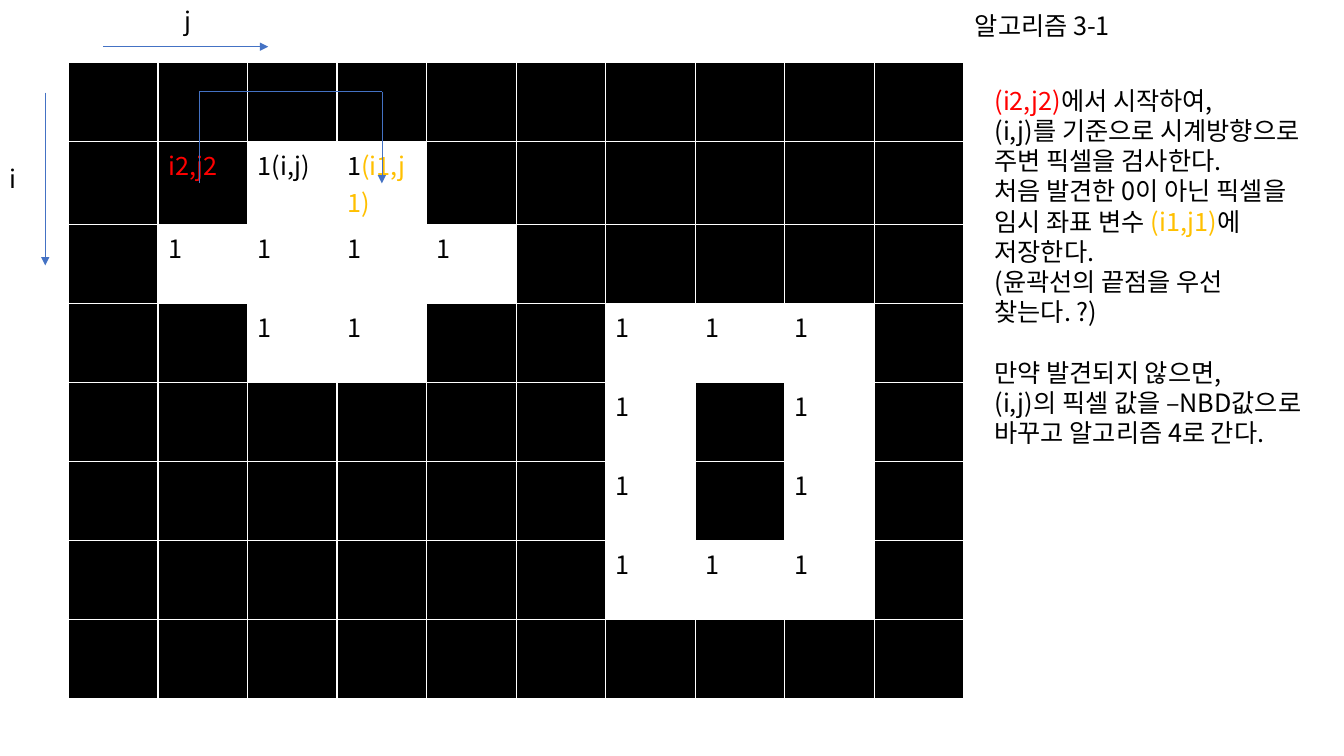
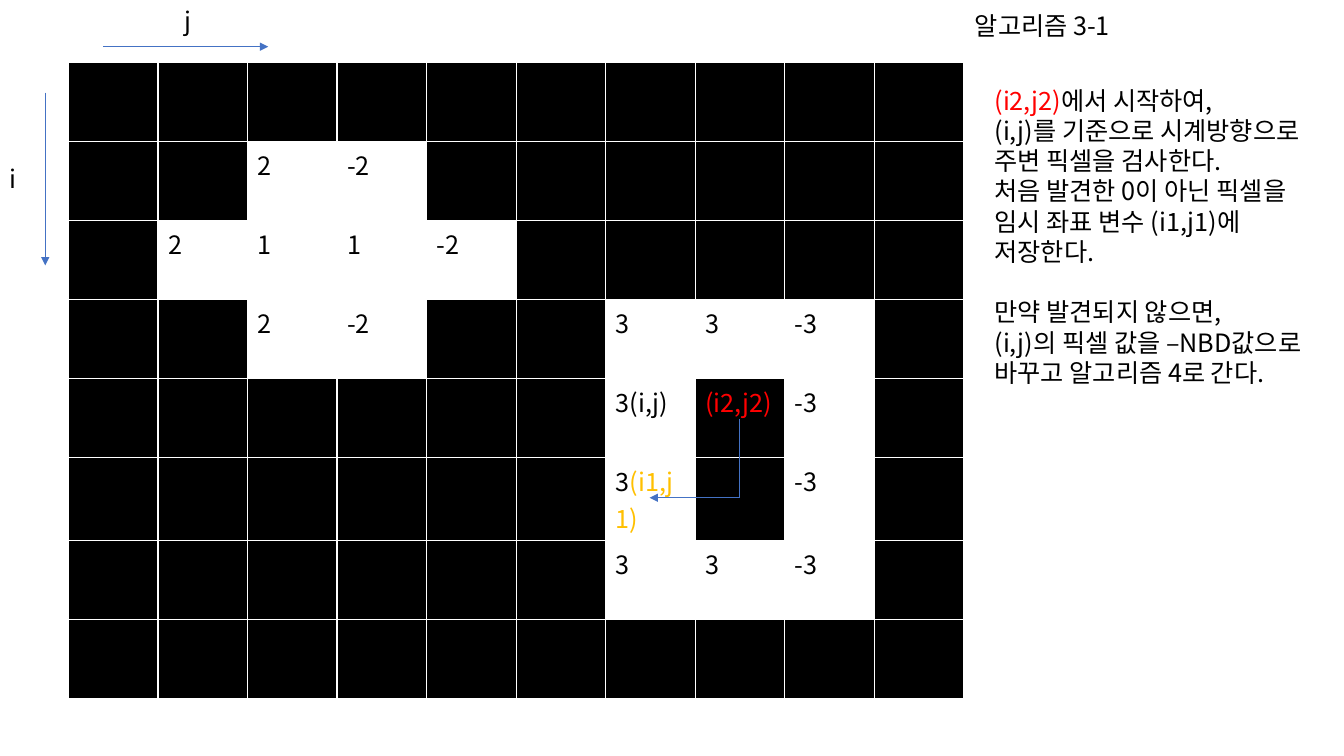
from lxml import etree
from pptx import Presentation
from pptx.dml.color import RGBColor
from pptx.enum.shapes import MSO_CONNECTOR
from pptx.enum.text import MSO_ANCHOR, MSO_AUTO_SIZE, PP_ALIGN
from pptx.oxml.ns import qn
from pptx.util import Inches, Pt

STRAIGHT = MSO_CONNECTOR.STRAIGHT
TOP, LEFT = MSO_ANCHOR.TOP, PP_ALIGN.LEFT
FIXED = MSO_AUTO_SIZE.NONE

FONT = "Noto Sans CJK KR"
BLACK, WHITE, RED, GOLD, BLUE = "000000", "FFFFFF", "FF0000", "FFC000", "4472C4"
SLIDE_WIDTH, SLIDE_HEIGHT = 13.33, 7.5
COLUMNS, ROWS = 10, 8
GRID_LEFT, GRID_TOP = 0.68, 0.62
COLUMN, ROW = 8.88 / COLUMNS, 6.27 / ROWS

FRAME_FORMAT = {"word_wrap": True, "auto_size": FIXED, "vertical_anchor": TOP,
                "margin_left": Inches(0.1), "margin_right": Inches(0.1),
                "margin_top": Inches(0.05), "margin_bottom": Inches(0.05)}
LINE_FORMAT = {"alignment": LEFT, "line_spacing": 1.0,
               "space_before": Pt(0), "space_after": Pt(0)}
FONT_FORMAT = {"name": FONT, "size": Pt(18), "bold": False}
TABLE_FORMAT = {"first_row": False, "horz_banding": False}
GROUP_GAP = Pt(21.6)

TITLE = "알고리즘 3-1"
AXIS_ARROWS = [[(0.39, -0.2), (2.23, -0.2)], [(-0.26, 0.38), (-0.26, 2.57)]]
AXIS_LABELS = [("i", (-0.77, 1.21, 0.36, 0.51)), ("j", (1.19, -0.79, 0.43, 0.51))]
TITLE_AREA = (10.01, -0.72, 1.9, 0.51)
BODY_AREA = (10.23, 0.22, 3.95, 4.77)

SEARCH_LINES = [
    [("(i2,j2)", RED), ("에서 시작하여,", BLACK)],
    [("(i,j)를 기준으로 시계방향으로", BLACK)],
    [("주변 픽셀을 검사한다.", BLACK)],
    [("처음 발견한 0이 아닌 픽셀을", BLACK)],
]
STORE_LINE = [("저장한다.", BLACK)]
FALLBACK_LINES = [
    [("만약 발견되지 않으면,", BLACK)],
    [("(i,j)의 픽셀 값을 –NBD값으로", BLACK)],
    [("바꾸고 알고리즘 4로 간다.", BLACK)],
]

OUTER_STEP = {
    "pixels": ["0 0 0 0 0 0 0 0 0 0",
               "0 0 1 1 0 0 0 0 0 0",
               "0 1 1 1 1 0 0 0 0 0",
               "0 0 1 1 0 0 1 1 1 0",
               "0 0 0 0 0 0 1 0 1 0",
               "0 0 0 0 0 0 1 0 1 0",
               "0 0 0 0 0 0 1 1 1 0",
               "0 0 0 0 0 0 0 0 0 0"],
    "marks": {(1, 1): ("i2,j2", RED), (1, 2): ("(i,j)", BLACK), (1, 3): ("(i1,j1)", GOLD)},
    "route": [(1.46, 1.53), (1.46, 0.37), (3.5, 0.37), (3.5, 1.53)],
    "groups": [
        SEARCH_LINES + [
            [("임시 좌표 변수 ", BLACK), ("(i1,j1)", GOLD), ("에", BLACK)],
            STORE_LINE,
            [("(윤곽선의 끝점을 우선", BLACK)],
            [("찾는다. ?)", BLACK)]],
        FALLBACK_LINES],
}
HOLE_STEP = {
    "pixels": ["0 0 0 0 0 0 0 0 0 0",
               "0 0 2 -2 0 0 0 0 0 0",
               "0 2 1 1 -2 0 0 0 0 0",
               "0 0 2 -2 0 0 3 3 -3 0",
               "0 0 0 0 0 0 3 0 -3 0",
               "0 0 0 0 0 0 3 0 -3 0",
               "0 0 0 0 0 0 3 3 -3 0",
               "0 0 0 0 0 0 0 0 0 0"],
    "marks": {(4, 6): ("(i,j)", BLACK), (4, 7): ("(i2,j2)", RED), (5, 6): ("(i1,j1)", GOLD)},
    "route": [(7.49, 4.51), (7.49, 5.51), (6.49, 5.51)],
    "groups": [
        SEARCH_LINES + [[("임시 좌표 변수 (i1,j1)에", BLACK)], STORE_LINE],
        FALLBACK_LINES],
}


def color(value):
    """Turn a hex string into a colour."""
    return RGBColor.from_string(value)


def set_format(target, values):
    """Set each named attribute of the target."""
    for name, value in values.items():
        setattr(target, name, value)


def add_element(parent, tag, **attributes):
    """Append a drawing element and return it."""
    return etree.SubElement(parent, qn(tag), attributes)


def grid_point(column, row):
    """Convert a grid position into slide lengths."""
    return Inches(GRID_LEFT + column * COLUMN), Inches(GRID_TOP + row * ROW)


def grid_area(column, row, width, height):
    """Convert a grid area into left, top, width and height."""
    return (*grid_point(column, row), Inches(width * COLUMN), Inches(height * ROW))


def write_spans(para, spans):
    """Write coloured text spans without kerning into a paragraph."""
    for text, hue in spans:
        span = para.add_run()
        span.text = text
        set_format(span.font, FONT_FORMAT)
        span.font.color.rgb = color(hue)
        properties = span._r.get_or_add_rPr()
        properties.set("kern", "0")
        add_element(properties, "a:ea", typeface=FONT)


def fill_box(box, area, groups):
    """Place a text shape and write its groups of lines."""
    set_format(box, dict(zip(("left", "top", "width", "height"), grid_area(*area))))
    frame = box.text_frame
    set_format(frame, FRAME_FORMAT)
    para = frame.paragraphs[0]
    for group_index, lines in enumerate(groups):
        for line_index, spans in enumerate(lines):
            if group_index or line_index:
                para = frame.add_paragraph()
            properties = para._p.get_or_add_pPr()
            properties.set("marL", "0")
            properties.set("indent", "0")
            add_element(properties, "a:buNone")
            set_format(para, LINE_FORMAT)
            if group_index and not line_index:
                para.space_before = GROUP_GAP
            write_spans(para, spans)


def style_cell(cell, fill):
    """Give a cell white borders and a solid fill."""
    properties = cell._tc.get_or_add_tcPr()
    for side in ("a:lnL", "a:lnR", "a:lnT", "a:lnB"):
        border = add_element(properties, side, w=str(Pt(1)))
        add_element(add_element(border, "a:solidFill"), "a:srgbClr", val=WHITE)
    cell.fill.solid()
    cell.fill.fore_color.rgb = color(fill)


def add_pixel_table(page, pixels, marks):
    """Draw the image as a table, black where the pixel is zero."""
    table = page.shapes.add_table(ROWS, COLUMNS, *grid_area(0, 0, COLUMNS, ROWS)).table
    set_format(table, TABLE_FORMAT)
    for row_index, line in enumerate(pixels):
        for column_index, value in enumerate(line.split()):
            cell = table.cell(row_index, column_index)
            empty = value == "0"
            style_cell(cell, BLACK if empty else WHITE)
            spans = [] if empty else [(value, BLACK)]
            mark = marks.get((row_index, column_index))
            write_spans(cell.text_frame.paragraphs[0], spans + ([mark] if mark else []))


def add_route(page, points):
    """Join grid points with lines, the last one ending in an arrowhead."""
    for start, end in zip(points, points[1:]):
        line = page.shapes.add_connector(STRAIGHT, *grid_point(*start), *grid_point(*end))
        line.line.color.rgb = color(BLUE)
        line.line.width = Pt(0.5)
        add_element(line._element.spPr, "a:effectLst")
    add_element(line.line._get_or_add_ln(), "a:tailEnd", type="triangle")


def add_step_page(deck, step):
    """Add one page of the border following algorithm."""
    page = deck.slides.add_slide(deck.slide_layouts[1])
    add_pixel_table(page, step["pixels"], step["marks"])
    for label, area in AXIS_LABELS:
        fill_box(page.shapes.add_textbox(*grid_area(*area)), area, [[[(label, BLACK)]]])
    fill_box(page.shapes.title, TITLE_AREA, [[[(TITLE, BLACK)]]])
    fill_box(page.placeholders[1], BODY_AREA, step["groups"])
    for points in AXIS_ARROWS + [step["route"]]:
        add_route(page, points)


def main():
    """Build and save the deck."""
    deck = Presentation()
    deck.slide_width, deck.slide_height = Inches(SLIDE_WIDTH), Inches(SLIDE_HEIGHT)
    for step in (OUTER_STEP, HOLE_STEP):
        add_step_page(deck, step)
    deck.save("out.pptx")


if __name__ == "__main__":
    main()
